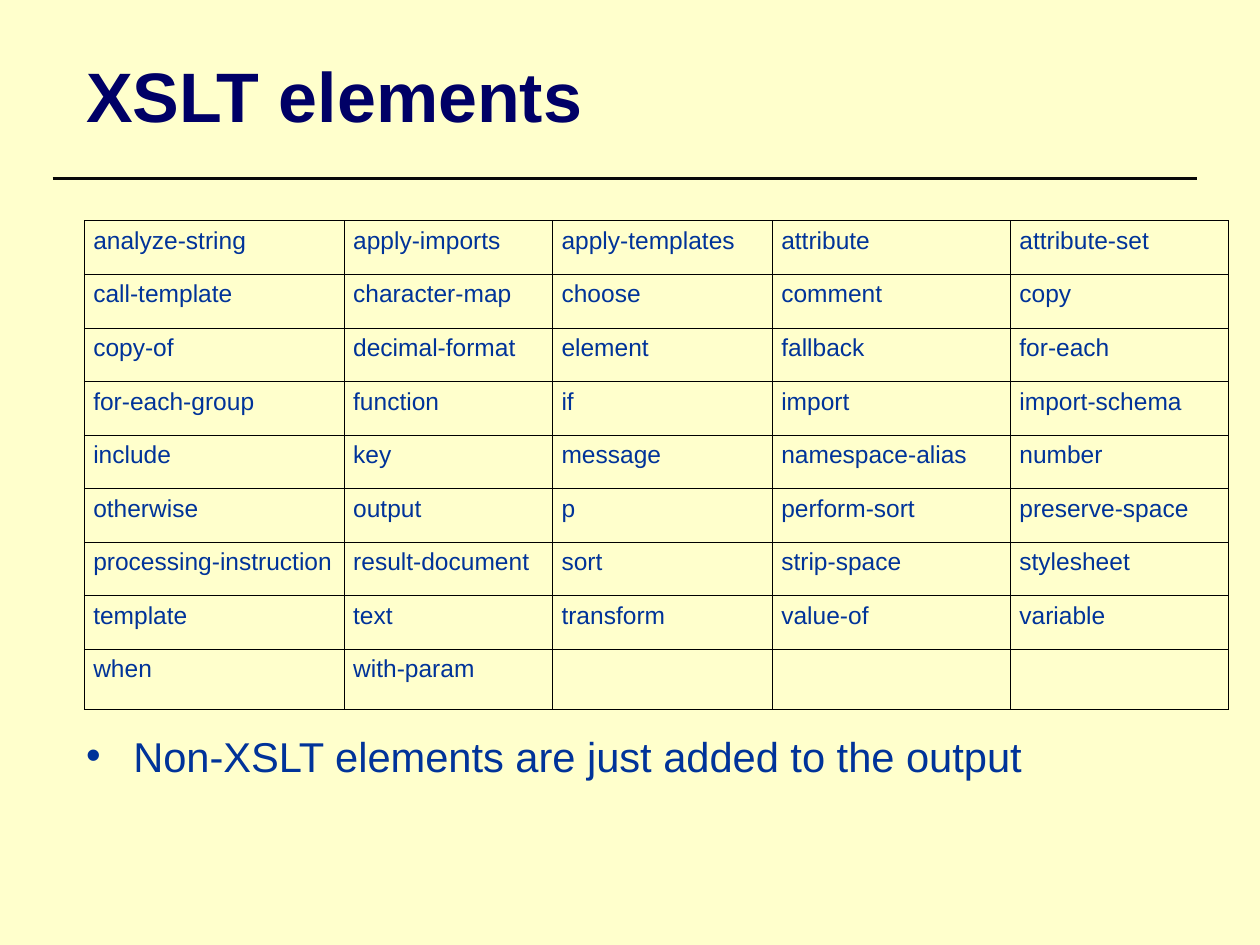
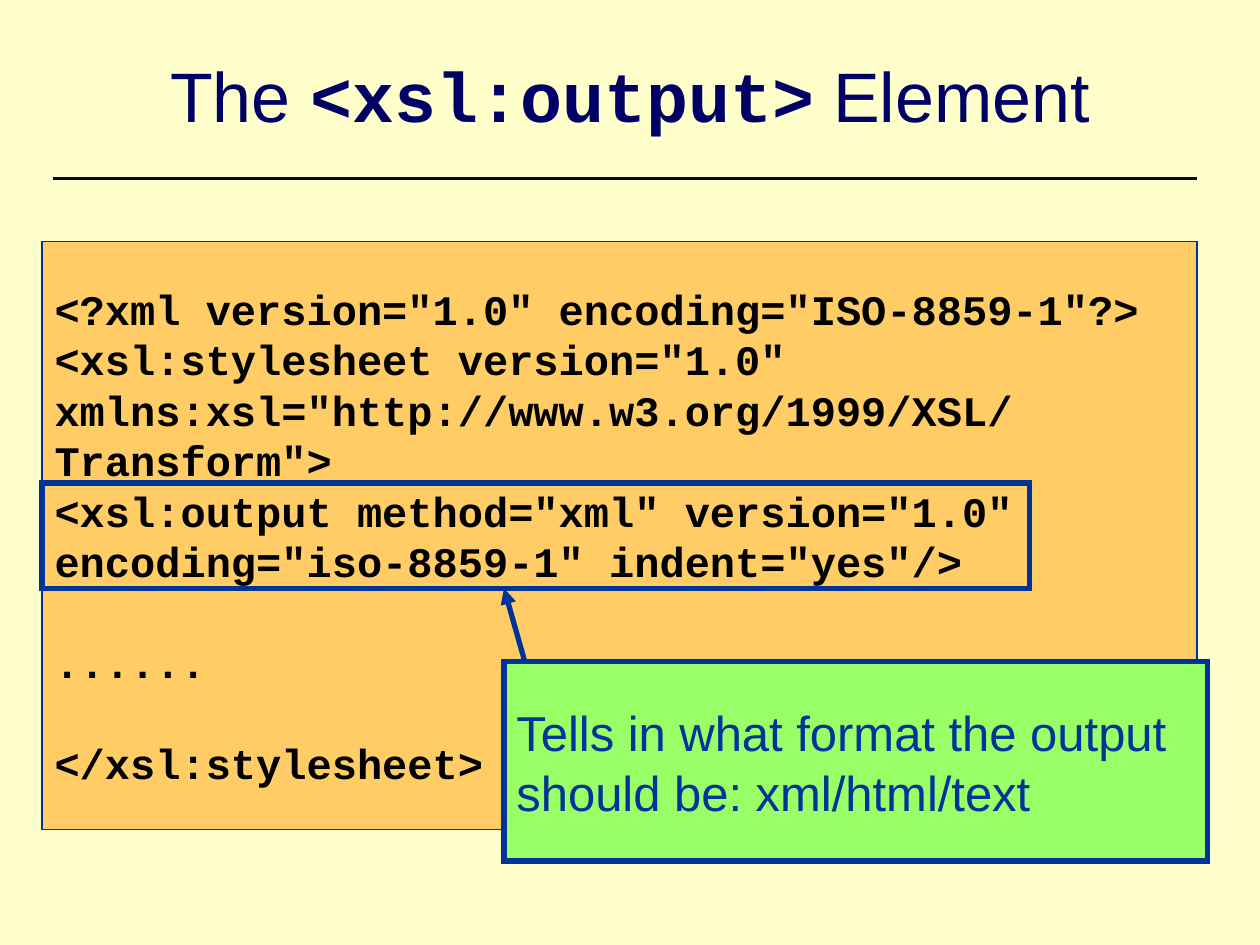
"""Build two slides on XSLT elements and the xsl:output element."""
from lxml.etree import SubElement
from pptx import Presentation
from pptx.dml.color import RGBColor
from pptx.enum.shapes import MSO_CONNECTOR, MSO_SHAPE
from pptx.enum.text import MSO_ANCHOR, MSO_AUTO_SIZE, PP_ALIGN
from pptx.oxml import parse_xml
from pptx.oxml.ns import nsdecls, qn
from pptx.util import Cm, Pt

CREAM = RGBColor(0xFF, 0xFF, 0xCC)
NAVY = RGBColor(0x00, 0x00, 0x66)
BLUE = RGBColor(0x00, 0x33, 0x99)
BLACK = RGBColor(0x00, 0x00, 0x00)
RULE_BLACK = RGBColor(0x08, 0x08, 0x08)
ORANGE = RGBColor(0xFF, 0xCC, 0x66)
GREEN = RGBColor(0x99, 0xFF, 0x66)
SANS, MONO = "Arial", "Courier New"

ELEMENTS_TITLE = [("XSLT elements", SANS, True)]
ELEMENTS = [
    ["analyze-string", "apply-imports", "apply-templates", "attribute", "attribute-set"],
    ["call-template", "character-map", "choose", "comment", "copy"],
    ["copy-of", "decimal-format", "element", "fallback", "for-each"],
    ["for-each-group", "function", "if", "import", "import-schema"],
    ["include", "key", "message", "namespace-alias", "number"],
    ["otherwise", "output", "p", "perform-sort", "preserve-space"],
    ["processing-instruction", "result-document", "sort", "strip-space", "stylesheet"],
    ["template", "text", "transform", "value-of", "variable"],
    ["when", "with-param", "", "", ""],
]
COLUMN_WIDTHS = [5.24, 4.2, 4.43, 4.8, 4.4]
ROW_HEIGHTS = [1.08] * 8 + [1.2]
ELEMENTS_NOTE = "Non-XSLT elements are just added to the output"

OUTPUT_TITLE = [("The ", SANS, False), ("<xsl:output>", MONO, True), (" Element", SANS, False)]
CODE_BLOCKS = [
    [
        '<?xml version="1.0" encoding="ISO-8859-1"?>',
        '<xsl:stylesheet version="1.0"',
        'xmlns:xsl="http://www.w3.org/1999/XSL/',
        'Transform">',
        '<xsl:output method="xml" version="1.0"',
        'encoding="iso-8859-1" indent="yes"/>',
    ],
    ["......"],
    ["</xsl:stylesheet>"],
]
CALLOUT_BLOCKS = [["Tells in what format the output", "should be: xml/html/text"]]

TITLE_AREA = (1.48, 0.42, 22.44, 2.96)
NOTE_AREA = (1.48, 14.6, 22.44, 1.27)
CODE_AREA = (0.85, 4.87, 23.28, 11.85)
CALLOUT_AREA = (10.16, 13.34, 14.18, 4.02)
HIGHLIGHT_AREA = (0.85, 9.74, 19.9, 2.12)


def lengths(values):
    """Turn centimetre values into lengths."""
    return [Cm(value) for value in values]


def add_span(para, text, size, color, font=SANS, bold=False):
    """Append one formatted run."""
    span = para.add_run()
    span.text = text
    span.font.name, span.font.size, span.font.bold = font, Pt(size), bold
    span.font.color.rgb = color


def place(box, area):
    """Move a placeholder and switch off its text fitting."""
    box.left, box.top, box.width, box.height = lengths(area)
    box.text_frame.auto_size = MSO_AUTO_SIZE.NONE


def add_line(page, start, end, color, width, arrow=False):
    """Draw a straight line, with an arrowhead at its end if asked."""
    line = page.shapes.add_connector(MSO_CONNECTOR.STRAIGHT, *lengths(start + end))
    line.line.color.rgb, line.line.width = color, Pt(width)
    if arrow:
        SubElement(line.line._get_or_add_ln(), qn("a:tailEnd"), type="triangle")
    SubElement(line._element.spPr, qn("a:effectLst"))


def add_page(deck, layout, title, align):
    """Add a slide with the shared title and rule."""
    page = deck.slides.add_slide(deck.slide_layouts.get_by_name(layout))
    place(page.shapes.title, TITLE_AREA)
    page.shapes.title.text_frame.vertical_anchor = MSO_ANCHOR.MIDDLE
    para = page.shapes.title.text_frame.paragraphs[0]
    para.alignment = align
    for text, font, bold in title:
        add_span(para, text, 40, NAVY, font, bold)
    add_line(page, (1.06, 3.6), (24.13, 3.6), RULE_BLACK, 1.5)
    return page


def add_box(page, area, fill, width):
    """Add a rectangle with a square-cornered blue edge, filled or hollow."""
    box = page.shapes.add_shape(MSO_SHAPE.RECTANGLE, *lengths(area))
    box.shadow.inherit = False
    box.line.color.rgb, box.line.width = BLUE, Pt(width)
    SubElement(box.line._get_or_add_ln(), qn("a:miter"), lim="800000")
    if fill is None:
        box.fill.background()
    else:
        box.fill.solid()
        box.fill.fore_color.rgb = fill
    return box


def write_blocks(box, blocks, size, pitch, color, font=SANS, bold=False):
    """Write lines in blocks, parted by the height of one line."""
    frame = box.text_frame
    frame.word_wrap, frame.vertical_anchor = True, MSO_ANCHOR.MIDDLE
    for block_index, block in enumerate(blocks):
        for line_index, text in enumerate(block):
            first = block_index == line_index == 0
            para = frame.paragraphs[0] if first else frame.add_paragraph()
            para.alignment, para.line_spacing = PP_ALIGN.LEFT, Pt(pitch)
            if block_index and not line_index:
                para.space_before = Pt(pitch)
            add_span(para, text, size, color, font, bold)


def format_cell(cell, text):
    """Give a table cell its text, clear fill and thin borders."""
    cell.fill.background()
    cell.margin_left = cell.margin_right = Cm(0.18)
    if text:
        add_span(cell.text_frame.paragraphs[0], text, 14, BLUE)
    for index, side in enumerate(("lnL", "lnR", "lnT", "lnB")):
        border = parse_xml(
            f'<a:{side} {nsdecls("a")} w="5715"><a:solidFill>'
            f'<a:srgbClr val="{BLACK}"/></a:solidFill></a:{side}>'
        )
        cell._tc.get_or_add_tcPr().insert(index, border)


def add_elements_table(page):
    """Add the grid of XSLT element names."""
    area = lengths((1.7, 4.45, sum(COLUMN_WIDTHS), sum(ROW_HEIGHTS)))
    table = page.shapes.add_table(len(ELEMENTS), len(COLUMN_WIDTHS), *area).table
    table.first_row = table.horz_banding = False
    for column, width in zip(table.columns, COLUMN_WIDTHS):
        column.width = Cm(width)
    for row, height, names in zip(table.rows, ROW_HEIGHTS, ELEMENTS):
        row.height = Cm(height)
        for cell, name in zip(row.cells, names):
            format_cell(cell, name)


def build_elements_page(deck):
    """Build the list of XSLT elements."""
    page = add_page(deck, "Title and Content", ELEMENTS_TITLE, PP_ALIGN.LEFT)
    note = page.placeholders[1]
    place(note, NOTE_AREA)
    para = note.text_frame.paragraphs[0]
    para.space_before = Pt(0)
    add_span(para, ELEMENTS_NOTE, 23.8, BLUE)
    add_elements_table(page)


def build_output_page(deck):
    """Build the explained xsl:output example."""
    page = add_page(deck, "Title Only", OUTPUT_TITLE, PP_ALIGN.CENTER)
    code = add_box(page, CODE_AREA, ORANGE, 0.75)
    write_blocks(code, CODE_BLOCKS, 24, 28.8, BLACK, MONO, True)
    callout = add_box(page, CALLOUT_AREA, GREEN, 3)
    write_blocks(callout, CALLOUT_BLOCKS, 28, 34.2, BLUE)
    add_line(page, (10.58, 13.34), (10.16, 11.86), BLUE, 3, arrow=True)
    add_box(page, HIGHLIGHT_AREA, None, 3)


def main():
    """Build and save the deck."""
    deck = Presentation()
    deck.slide_width, deck.slide_height = Cm(25.4), Cm(19.05)
    background = deck.slide_master.background.fill
    background.solid()
    background.fore_color.rgb = CREAM
    build_elements_page(deck)
    build_output_page(deck)
    deck.save("out.pptx")


if __name__ == "__main__":
    main()
